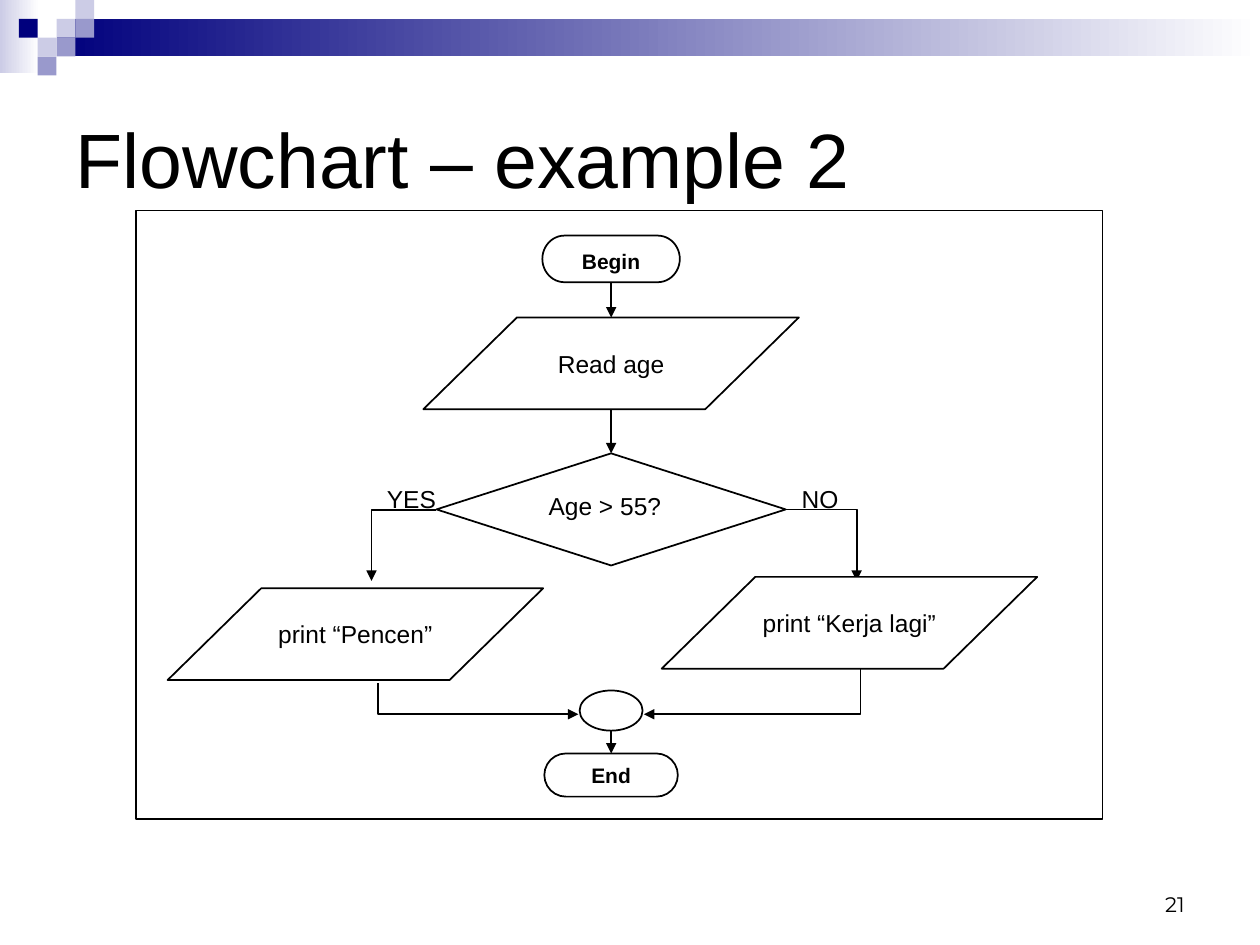
from typing import NamedTuple

from lxml.etree import SubElement
from pptx import Presentation
from pptx.dml.color import RGBColor
from pptx.enum.shapes import MSO_CONNECTOR as Connector, MSO_SHAPE as Preset
from pptx.enum.text import MSO_ANCHOR as Anchor, PP_ALIGN as Align
from pptx.oxml.ns import qn
from pptx.util import Cm, Pt

BLACK = RGBColor(0x00, 0x00, 0x00)
WHITE = RGBColor(0xFF, 0xFF, 0xFF)
NAVY = RGBColor(0x00, 0x00, 0x7D)
LAVENDER = RGBColor(0xCC, 0xCC, 0xE6)
PERIWINKLE = RGBColor(0x99, 0x99, 0xCC)

TILE = 0.38
AXIS = 12.32
LINE_WIDTH = 1


class Box(NamedTuple):
    left: float
    top: float
    width: float
    height: float

    def lengths(self) -> list:
        return [Cm(value) for value in self]


class Tile(NamedTuple):
    column: int
    row: int
    color: RGBColor


class Label(NamedTuple):
    text: str
    box: Box
    size: int = 14
    font: str = "Arial"
    align: Align = Align.LEFT
    anchor: Anchor = Anchor.TOP
    inset: tuple = (0.28, 0.15)


class Node(NamedTuple):
    preset: Preset
    box: Box
    text: str = ""
    size: int = 14
    bold: bool = False


def centered(top: float, width: float, height: float) -> Box:
    return Box(AXIS - width / 2, top, width, height)


def write(shape, text: str, size: int, font: str, align: Align,
          anchor: Anchor, inset: tuple, bold: bool = False) -> None:
    frame = shape.text_frame
    frame.word_wrap = False
    frame.vertical_anchor = anchor
    frame.margin_left = frame.margin_right = Cm(inset[0])
    frame.margin_top = frame.margin_bottom = Cm(inset[1])
    paragraph = frame.paragraphs[0]
    paragraph.text = text
    paragraph.alignment = align
    paragraph.font.size = Pt(size)
    paragraph.font.name = font
    paragraph.font.bold = bold
    paragraph.font.color.rgb = BLACK


def draw_label(slide, label: Label) -> None:
    shape = slide.shapes.add_textbox(*label.box.lengths())
    write(shape, label.text, label.size, label.font, label.align, label.anchor, label.inset)
    shape.text_frame.word_wrap = True


def draw_rectangle(slide, box: Box):
    shape = slide.shapes.add_shape(Preset.RECTANGLE, *box.lengths())
    shape.shadow.inherit = False
    shape.line.fill.background()
    return shape


def draw_fade(slide, box: Box, color: RGBColor) -> None:
    fill = draw_rectangle(slide, box).fill
    fill.gradient()
    fill.gradient_angle = 0
    for stop, position, stop_color in zip(fill.gradient_stops, (0, 1), (color, WHITE)):
        stop.position = position
        stop.color.rgb = stop_color


def draw_tile(slide, tile: Tile) -> None:
    shape = draw_rectangle(slide, Box(tile.column * TILE, tile.row * TILE, TILE, TILE))
    shape.fill.solid()
    shape.fill.fore_color.rgb = tile.color


def outline(shape, width: float = LINE_WIDTH) -> None:
    shape.line.color.rgb = BLACK
    shape.line.width = Pt(width)


def add_arrowhead(shape) -> None:
    line = shape._element.spPr.find(qn("a:ln"))
    SubElement(line, qn("a:tailEnd"), type="triangle")


def draw_node(slide, node: Node):
    shape = slide.shapes.add_shape(node.preset, *node.box.lengths())
    shape.shadow.inherit = False
    shape.fill.solid()
    shape.fill.fore_color.rgb = WHITE
    outline(shape)
    if node.preset == Preset.PARALLELOGRAM:
        shape.adjustments[0] = 1.02
    if node.text:
        write(shape, node.text, node.size, "Arial", Align.CENTER,
              Anchor.MIDDLE, (0, 0), node.bold)
    return shape


def draw_bent_arrow(slide, points: list) -> None:
    start, *rest = [(Cm(x), Cm(y)) for x, y in points]
    builder = slide.shapes.build_freeform(*start)
    builder.add_line_segments(rest, close=False)
    shape = builder.convert_to_shape()
    shape.shadow.inherit = False
    shape.fill.background()
    outline(shape)
    add_arrowhead(shape)


def draw_down_arrow(slide, top: float, bottom: float, source=None, target=None) -> None:
    connector = slide.shapes.add_connector(
        Connector.STRAIGHT, Cm(AXIS), Cm(top), Cm(AXIS), Cm(bottom))
    if source is not None:
        connector.begin_connect(source, 2)
    if target is not None:
        connector.end_connect(target, 0)
    outline(connector)
    add_arrowhead(connector)
    SubElement(connector._element.spPr, qn("a:effectLst"))


TILES = [
    Tile(3, 1, LAVENDER), Tile(4, 0, LAVENDER), Tile(4, 1, PERIWINKLE),
    Tile(2, 2, LAVENDER), Tile(1, 1, NAVY), Tile(3, 2, PERIWINKLE),
    Tile(2, 3, PERIWINKLE),
]
LABELS = [
    Label("21", Box(18.21, 17.35, 5.92, 1.27), 12, "Montserrat",
          Align.RIGHT, Anchor.BOTTOM, (0.25, 0.13)),
    Label("Flowchart – example 2", Box(1.27, 1.27, 22.86, 3.81), 44,
          anchor=Anchor.MIDDLE, inset=(0.25, 0.13)),
    Label("NO", Box(15.88, 9.6, 1.5, 0.87)),
    Label("YES", Box(7.52, 9.6, 1.7, 0.87)),
]
BEGIN = Node(Preset.FLOWCHART_TERMINATOR, centered(4.75, 2.77, 0.94), "Begin", 12, True)
READ = Node(Preset.PARALLELOGRAM, centered(6.4, 7.57, 1.85), "Read age")
DECISION = Node(Preset.DIAMOND, centered(9.14, 7.04, 2.26), "Age > 55?")
PENSION = Node(Preset.PARALLELOGRAM, Box(3.38, 11.86, 7.57, 1.85), "print “Pencen”")
WORK = Node(Preset.PARALLELOGRAM, Box(13.34, 11.63, 7.57, 1.85), "print “Kerja lagi”")
JUNCTION = Node(Preset.OVAL, centered(13.92, 1.27, 0.81))
END = Node(Preset.FLOWCHART_TERMINATOR, centered(15.19, 2.69, 0.87), "End", 12, True)
BENT_ARROWS = [
    [(8.8, 10.28), (7.49, 10.28), (7.49, 11.71)],
    [(15.84, 10.27), (17.27, 10.27), (17.27, 11.71)],
    [(7.62, 13.77), (7.62, 14.4), (11.66, 14.4)],
    [(17.35, 13.33), (17.35, 14.4), (12.98, 14.4)],
]


def main() -> None:
    presentation = Presentation()
    presentation.slide_width, presentation.slide_height = Cm(25.4), Cm(19.05)
    slide = presentation.slides.add_slide(presentation.slide_layouts[6])

    draw_fade(slide, Box(0, 0, 0.79, 1.47), LAVENDER)
    draw_fade(slide, Box(3 * TILE, TILE, 25.4 - 3 * TILE, 2 * TILE), NAVY)
    for tile in TILES:
        draw_tile(slide, tile)

    frame = draw_rectangle(slide, Box(2.74, 4.24, 19.48, 12.27))
    frame.fill.background()
    outline(frame, 0.75)

    for points in BENT_ARROWS:
        draw_bent_arrow(slide, points)
    begin, _, decision, _, _, _, end = [
        draw_node(slide, node)
        for node in (BEGIN, READ, DECISION, PENSION, WORK, JUNCTION, END)]
    begin.text_frame.margin_top = Cm(0.1)
    decision.text_frame.margin_right = Cm(0.25)
    decision.text_frame.margin_bottom = Cm(0.15)
    draw_down_arrow(slide, 5.69, 6.4, source=begin)
    draw_down_arrow(slide, 8.25, 9.14, target=decision)
    draw_down_arrow(slide, 14.73, 15.19, target=end)
    for label in LABELS:
        draw_label(slide, label)

    presentation.save("out.pptx")


if __name__ == "__main__":
    main()
